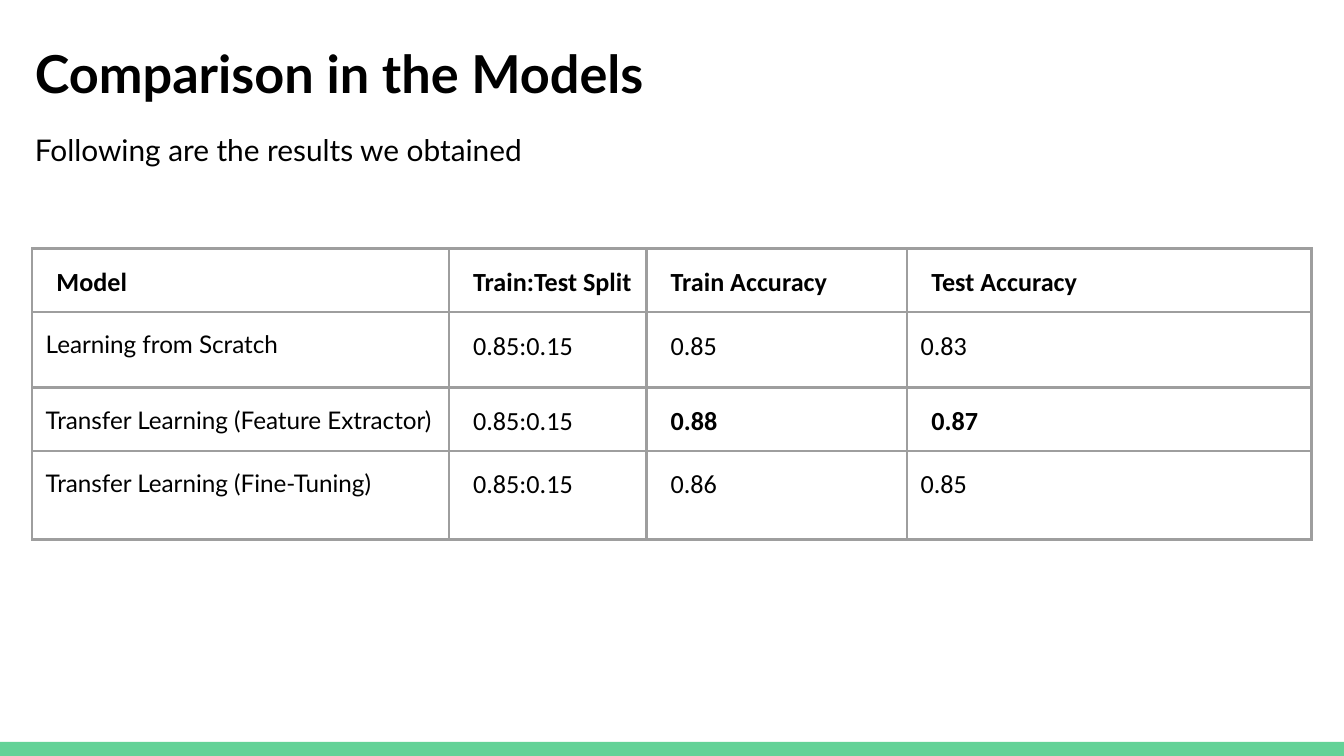
from lxml.etree import SubElement
from pptx import Presentation
from pptx.dml.color import RGBColor
from pptx.enum.shapes import MSO_SHAPE
from pptx.enum.text import MSO_ANCHOR, MSO_AUTO_SIZE, PP_ALIGN
from pptx.oxml.ns import qn
from pptx.util import Inches, Pt

BLACK = RGBColor(0x00, 0x00, 0x00)
GREEN = RGBColor(0x63, 0xD2, 0x97)
GREY = RGBColor(0x9E, 0x9E, 0x9E)

WIDE = Inches(10)
SIZE = {"slide_width": WIDE, "slide_height": WIDE * 9 // 16}
PAD = Inches(0.1)
INSETS = {f"margin_{side}": PAD for side in ("left", "top", "right", "bottom")}
FRAME = {
    **INSETS,
    "word_wrap": True,
    "auto_size": MSO_AUTO_SIZE.NONE,
    "vertical_anchor": MSO_ANCHOR.TOP,
}
CELL = {**INSETS, "vertical_anchor": MSO_ANCHOR.TOP}
LINE = {
    "alignment": PP_ALIGN.LEFT,
    "line_spacing": 1.15,
    "space_before": Pt(0),
    "space_after": Pt(0),
}
LATO = {"name": "Lato", "size": Pt(13), "bold": False}
PLAIN = {"name": "Calibri", "size": Pt(14), "bold": False}
STRONG = {**PLAIN, "bold": True}
TITLE = {"name": "Lato", "size": Pt(28), "bold": True}
LEAD = {"name": "Lato", "size": Pt(16), "bold": False}

WIDTHS = [3.1, 1.47, 1.94, 3.01]
HEIGHTS = [0.47, 0.56, 0.47, 0.66]
ROWS = [
    ["Model", "Train:Test Split", "Train Accuracy", "Test Accuracy"],
    ["Learning from Scratch", "0.85:0.15", "0.85", "0.83"],
    ["Transfer Learning (Feature Extractor)", "0.85:0.15", "0.88", "0.87"],
    ["Transfer Learning (Fine-Tuning)", "0.85:0.15", "0.86", "0.85"],
]
BEST = 2


def apply(item, style):
    for name, value in style.items():
        setattr(item, name, value)


def box(left, top, width, height):
    return [Inches(n) for n in (left, top, width, height)]


def write(para, text, font, **line):
    apply(para, {**LINE, **line})
    run = para.add_run()
    run.text = text
    apply(run.font, font)
    run.font.color.rgb = BLACK


def border(cell):
    props = cell._tc.get_or_add_tcPr()
    for place, side in enumerate(("lnL", "lnR", "lnT", "lnB")):
        edge = props.makeelement(qn(f"a:{side}"), {"w": str(Pt(1.5))})
        fill = SubElement(edge, qn("a:solidFill"))
        SubElement(fill, qn("a:srgbClr"), val=str(GREY))
        props.insert(place, edge)


def add_bar(slide):
    bar = slide.shapes.add_shape(MSO_SHAPE.RECTANGLE, *box(0, 5.52, 10, 0.11))
    bar.shadow.inherit = False
    bar.fill.solid()
    bar.fill.fore_color.rgb = GREEN
    bar.line.fill.background()


def add_title(slide):
    title = slide.shapes.title
    names = ("left", "top", "width", "height")
    apply(title, dict(zip(names, box(0.16, 0.14, 9.32, 2.74))))
    frame = title.text_frame
    apply(frame, FRAME)
    write(frame.paragraphs[0], "Comparison in the Models", TITLE)
    write(frame.add_paragraph(), "Following are the results we obtained",
          LEAD, space_before=Pt(12))


def fill_cell(cell, text, row, col):
    apply(cell, CELL)
    cell.fill.background()
    border(cell)
    bold = row == 0 or (row == BEST and col > 1)
    font = STRONG if bold else PLAIN if col else LATO
    para = cell.text_frame.paragraphs[0]
    write(para, text, font)
    if bold or col in (1, 2):
        para._p.get_or_add_pPr().set("marL", str(Inches(0.08)))


def add_grid(slide):
    area = box(0.24, 1.85, sum(WIDTHS), sum(HEIGHTS))
    table = slide.shapes.add_table(len(ROWS), len(WIDTHS), *area).table
    apply(table, {"first_row": False, "horz_banding": False})
    for col, width in zip(table.columns, WIDTHS):
        col.width = Inches(width)
    for row, height in zip(table.rows, HEIGHTS):
        row.height = Inches(height)
    for row, texts in enumerate(ROWS):
        for col, text in enumerate(texts):
            fill_cell(table.cell(row, col), text, row, col)


def main():
    deck = Presentation()
    apply(deck, SIZE)
    slide = deck.slides.add_slide(deck.slide_layouts[5])
    add_bar(slide)
    add_title(slide)
    add_grid(slide)
    deck.save("out.pptx")


if __name__ == "__main__":
    main()
